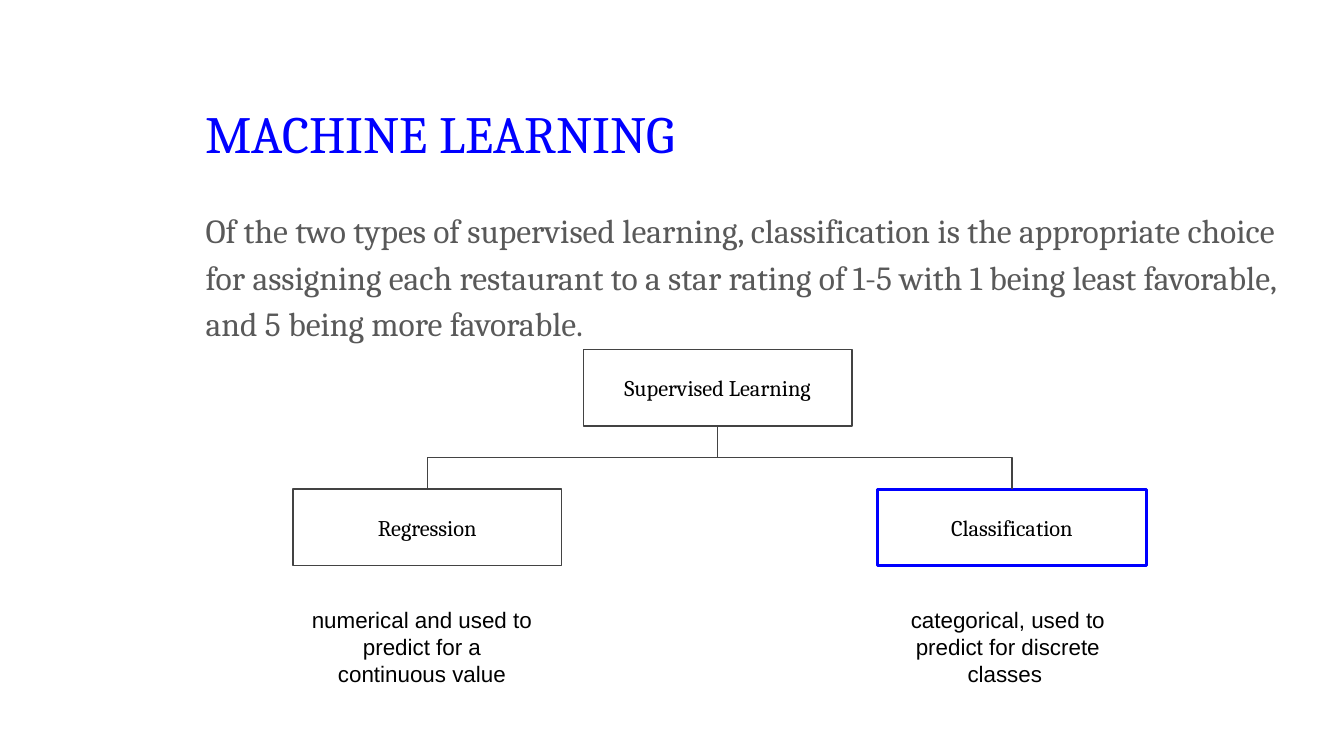
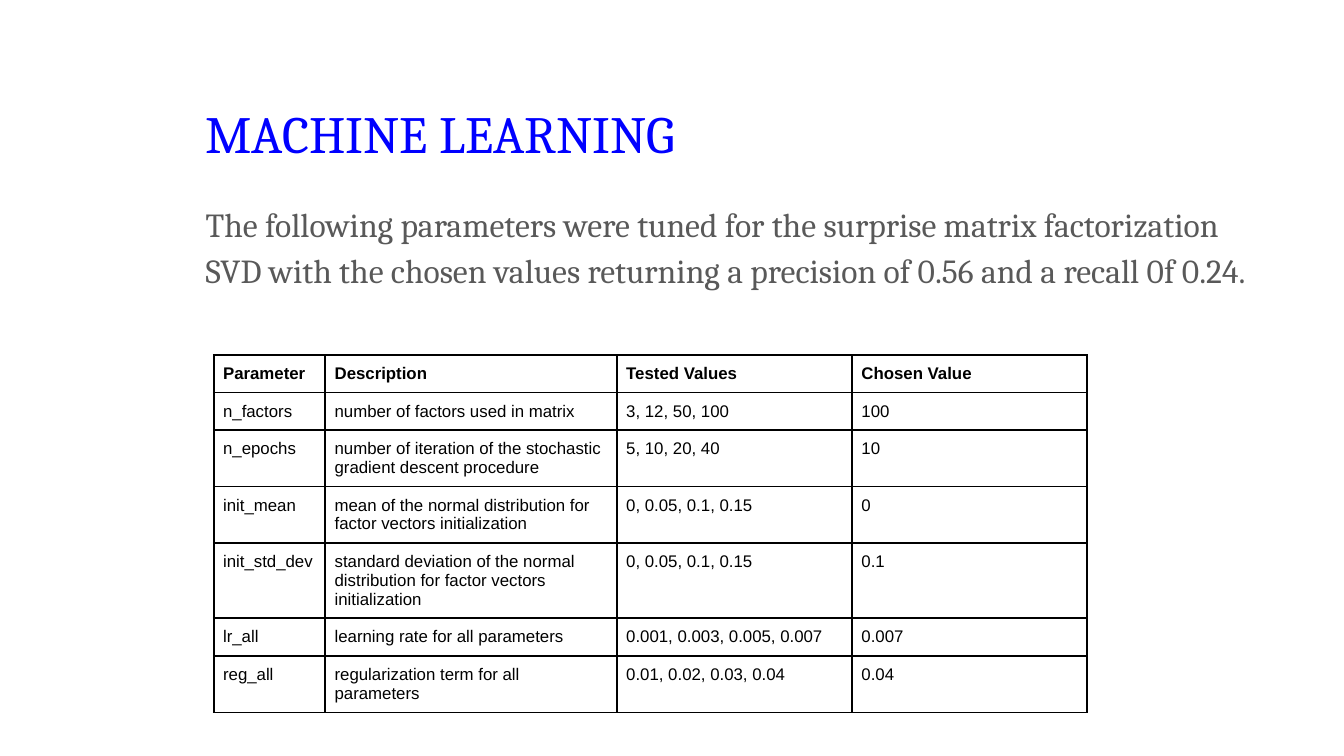
from dataclasses import dataclass

from lxml.etree import SubElement
from pptx import Presentation
from pptx.dml.color import RGBColor
from pptx.enum.shapes import MSO_CONNECTOR, MSO_SHAPE
from pptx.enum.text import MSO_ANCHOR, MSO_AUTO_SIZE, PP_ALIGN
from pptx.oxml.ns import qn
from pptx.shapes.autoshape import Shape
from pptx.slide import Slide
from pptx.table import _Cell
from pptx.text.text import TextFrame
from pptx.util import Inches, Pt

# Shared look
BLUE, GREY, DARK, BLACK = "0000FF", "595959", "434343", "000000"
SERIF, SANS = "Cambria", "Arial"
LEFT_MARGIN = 1.43


@dataclass(frozen=True)
class TextStyle:
    size: float
    font: str
    color: str
    bold: bool = False
    align: PP_ALIGN = PP_ALIGN.LEFT
    anchor: MSO_ANCHOR = MSO_ANCHOR.TOP
    inset: float = 0.1
    line_spacing: float = 1.0


TITLE = TextStyle(28, SERIF, BLUE)
BODY = TextStyle(18, SERIF, GREY, line_spacing=1.15)
NODE = TextStyle(12, SERIF, BLACK, align=PP_ALIGN.CENTER, anchor=MSO_ANCHOR.MIDDLE)
CAPTION = TextStyle(12, SANS, BLACK, align=PP_ALIGN.CENTER)
CELL = TextStyle(9, SANS, BLACK, inset=0.07)
HEADER = TextStyle(9, SANS, BLACK, bold=True, inset=0.07)


@dataclass(frozen=True)
class Node:
    label: str
    left: float
    top: float
    color: str = DARK
    line_width: float = 0.75


@dataclass(frozen=True)
class Caption:
    text: str
    left: float
    width: float


@dataclass(frozen=True)
class Parameter:
    name: str
    description: str
    tested: str
    chosen: str
    lines: int = 1


# Slide content
SUPERVISED = Node("Supervised Learning", 4.34, 2.6)
BRANCHES = [
    Node("Regression", 2.18, 3.64),
    Node("Classification", 6.53, 3.64, BLUE, 1.5),
]
CAPTIONS = [
    Caption("numerical and used to predict for a continuous value", 2.2, 1.88),
    Caption("categorical, used to predict for discrete classes ", 6.5, 2),
]
PARAMETERS = [
    Parameter("Parameter", "Description", "Tested Values", "Chosen Value"),
    Parameter("n_factors", "number of factors used in matrix", "3, 12, 50, 100", "100"),
    Parameter("n_epochs", "number of iteration of the stochastic gradient descent procedure",
              "5, 10, 20, 40", "10", 2),
    Parameter("init_mean", "mean of the normal distribution for factor vectors initialization",
              "0, 0.05, 0.1, 0.15", "0", 2),
    Parameter("init_std_dev",
              "standard deviation of the normal distribution for factor vectors initialization",
              "0, 0.05, 0.1, 0.15", "0.1", 3),
    Parameter("lr_all", "learning rate for all parameters", "0.001, 0.003, 0.005, 0.007", "0.007"),
    Parameter("reg_all", "regularization term for all parameters",
              "0.01, 0.02, 0.03, 0.04", "0.04", 2),
]
COLUMN_WIDTHS = [0.83, 2.17, 1.75, 1.75]
LINE_HEIGHT = 0.14


def rgb(color: str) -> RGBColor:
    return RGBColor.from_string(color)


def write(frame: TextFrame, text: str, style: TextStyle) -> None:
    paragraph = frame.paragraphs[0]
    paragraph.alignment = style.align
    paragraph.line_spacing = style.line_spacing
    paragraph.space_before = Pt(0)
    run = paragraph.add_run()
    run.text = text
    run.font.size = Pt(style.size)
    run.font.name = style.font
    run.font.bold = style.bold
    run.font.color.rgb = rgb(style.color)


def fill_frame(shape: Shape, text: str, style: TextStyle) -> None:
    frame = shape.text_frame
    frame.word_wrap = True
    frame.auto_size = MSO_AUTO_SIZE.NONE
    frame.vertical_anchor = style.anchor
    frame.margin_left = frame.margin_right = Inches(style.inset)
    frame.margin_top = frame.margin_bottom = Inches(style.inset)
    write(frame, text, style)


def place(shape: Shape, left: float, top: float, width: float, height: float) -> None:
    shape.left, shape.top = Inches(left), Inches(top)
    shape.width, shape.height = Inches(width), Inches(height)


def add_topic_slide(deck: Presentation, body_text: str, body_top: float,
                    body_height: float) -> Slide:
    slide = deck.slides.add_slide(deck.slide_layouts[1])
    title, body = slide.shapes.title, slide.placeholders[1]
    place(title, LEFT_MARGIN, 0.65, 7.69, 0.64)
    fill_frame(title, "MACHINE LEARNING", TITLE)
    place(body, LEFT_MARGIN, body_top, 8.19, body_height)
    fill_frame(body, body_text, BODY)
    # Plain paragraph without bullet
    properties = body.text_frame.paragraphs[0]._p.get_or_add_pPr()
    properties.set("marL", "0")
    properties.set("indent", "0")
    SubElement(properties, qn("a:buNone"))
    return slide


def add_node(slide: Slide, node: Node) -> Shape:
    box = slide.shapes.add_shape(MSO_SHAPE.RECTANGLE, Inches(node.left), Inches(node.top),
                                 Inches(2), Inches(0.57))
    box.shadow.inherit = False
    box.fill.background()
    box.line.color.rgb = rgb(node.color)
    box.line.width = Pt(node.line_width)
    fill_frame(box, node.label, NODE)
    return box


def add_branch(slide: Slide, child: Shape, parent: Shape) -> None:
    """Join child top to parent bottom with an upright elbow."""
    branch = slide.shapes.add_connector(MSO_CONNECTOR.ELBOW, 0, 0, 0, 0)
    branch.begin_connect(child, 0)
    branch.end_connect(parent, 2)
    start_x, start_y = child.left + child.width // 2, child.top
    end_x, end_y = parent.left + parent.width // 2, parent.top + parent.height
    # The elbow is laid out sideways, then turned a quarter about its centre
    length, span = start_y - end_y, abs(end_x - start_x)
    branch.left = (start_x + end_x - length) // 2
    branch.top = (start_y + end_y - span) // 2
    branch.width, branch.height = length, span
    on_left = start_x < end_x
    transform = branch._element.spPr.find(qn("a:xfrm"))
    transform.set("rot", str((270 if on_left else 90) * 60000))
    transform.set("flipH", "0" if on_left else "1")
    transform.set("flipV", "0")
    branch.line.color.rgb = rgb(DARK)
    branch.line.width = Pt(0.75)
    SubElement(branch._element.spPr, qn("a:effectLst"))


def add_caption(slide: Slide, caption: Caption) -> None:
    box = slide.shapes.add_textbox(Inches(caption.left), Inches(4.41),
                                   Inches(caption.width), Inches(0.64))
    fill_frame(box, caption.text, CAPTION)


def format_cell(cell: _Cell, text: str, style: TextStyle) -> None:
    cell.margin_left = cell.margin_right = Inches(style.inset)
    cell.margin_top = cell.margin_bottom = Inches(style.inset)
    cell.vertical_anchor = style.anchor
    write(cell.text_frame, text, style)
    # Black border on every side
    properties = cell._tc.get_or_add_tcPr()
    for side in ("a:lnL", "a:lnR", "a:lnT", "a:lnB"):
        border = SubElement(properties, qn(side), w=str(Pt(1)))
        SubElement(SubElement(border, qn("a:solidFill")), qn("a:srgbClr"), val=BLACK)
    cell.fill.background()


def add_parameter_table(slide: Slide) -> None:
    heights = [LINE_HEIGHT * (row.lines + 1) for row in PARAMETERS]
    table = slide.shapes.add_table(len(PARAMETERS), len(COLUMN_WIDTHS), Inches(1.59),
                                   Inches(2.64), Inches(sum(COLUMN_WIDTHS)),
                                   Inches(sum(heights))).table
    table.first_row = table.horz_banding = False
    for column, width in zip(table.columns, COLUMN_WIDTHS):
        column.width = Inches(width)
    for index, (parameter, height) in enumerate(zip(PARAMETERS, heights)):
        table.rows[index].height = Inches(height)
        values = (parameter.name, parameter.description, parameter.tested, parameter.chosen)
        for cell, value in zip(table.rows[index].cells, values):
            format_cell(cell, value, CELL if index else HEADER)


def main() -> None:
    deck = Presentation()
    # Widescreen, 16 to 9
    deck.slide_width = Inches(10)
    deck.slide_height = Inches(10) * 9 // 16

    # Types of supervised learning
    learning = add_topic_slide(
        deck,
        "Of the two types of supervised learning, classification is the appropriate choice "
        "for assigning each restaurant to a star rating of 1-5 with 1 being least favorable, "
        "and 5 being more favorable.", 1.42, 3.54)
    root = add_node(learning, SUPERVISED)
    leaves = [add_node(learning, node) for node in BRANCHES]
    for leaf in leaves:
        add_branch(learning, leaf, root)
    for caption in CAPTIONS:
        add_caption(learning, caption)

    # Tuned parameters
    tuning = add_topic_slide(
        deck,
        "The following parameters were tuned for the surprise matrix factorization SVD with "
        "the chosen values returning a precision of 0.56 and a recall 0f 0.24.", 1.37, 1.52)
    add_parameter_table(tuning)

    deck.save("out.pptx")


if __name__ == "__main__":
    main()
